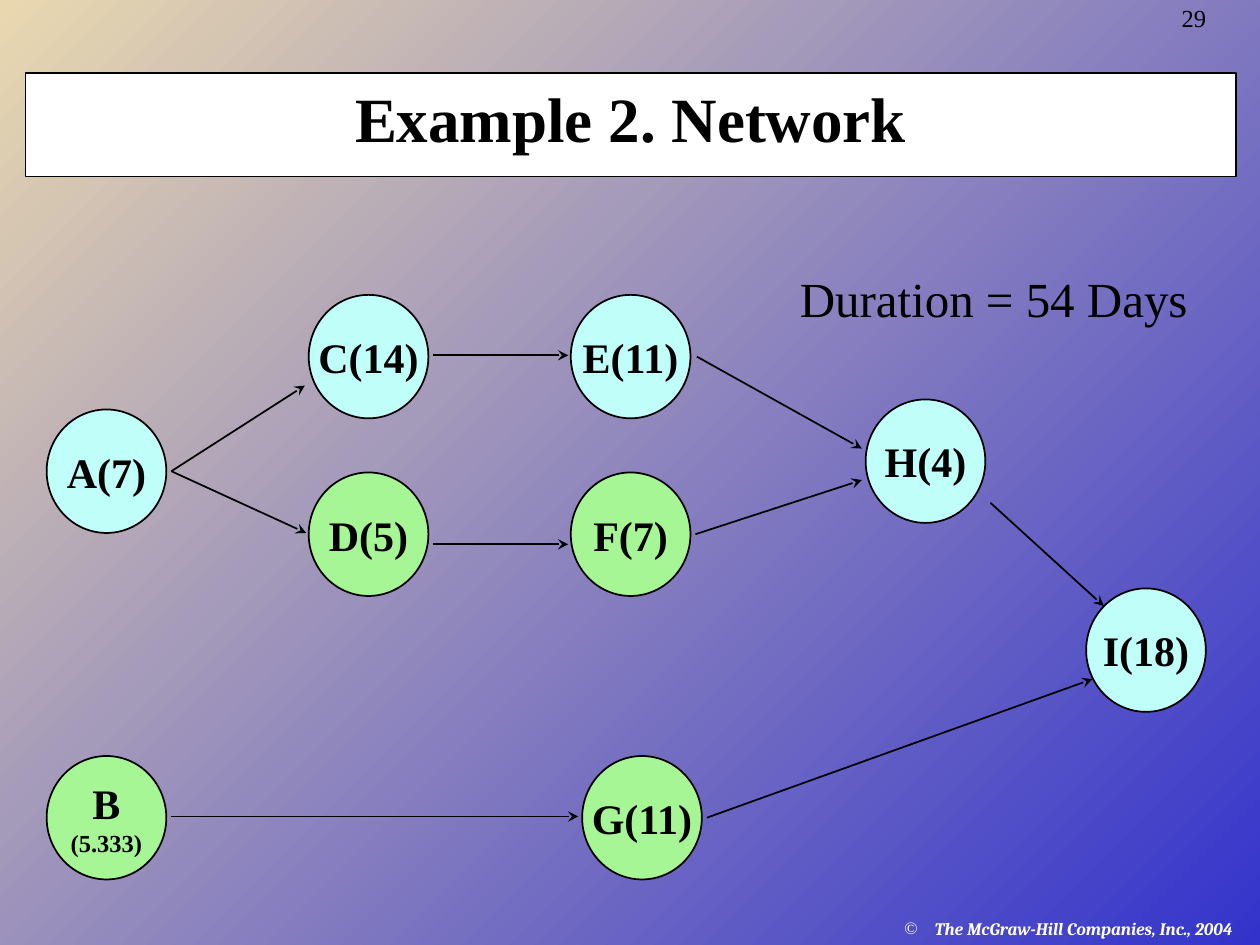
from pptx import Presentation, util as u
from pptx.dml.color import RGBColor
from pptx.enum import shapes as sh, text as tx
from pptx.oxml import parse_xml
from pptx.oxml.ns import nsdecls

HUES = {"black": "000000", "white": "FFFFFF", "cyan": "C0FEF9",
        "green": "A6F695", "blue": "3333CC", "sand": "E9D8AF"}
SERIF = "Times New Roman"
NODES = [  # left, top, hue, lines of (text, size)
    (0.37, 3.25, "cyan", [("A(7)", 24)]),
    (0.37, 6, "green", [("B", 24), ("(5.333)", 14)]),
    (2.45, 2.34, "cyan", [("C(14)", 24)]),
    (2.45, 3.75, "green", [("D(5)", 24)]),
    (4.53, 2.34, "cyan", [("E(11)", 24)]),
    (4.53, 3.75, "green", [("F(7)", 24)]),
    (6.87, 3.17, "cyan", [("H(4)", 24)]),
    (4.62, 6, "green", [("G(11)", 24)]),
    (8.62, 4.67, "cyan", [("I(18)", 24)]),
]
LINKS = [  # from x, y, to x, y
    (1.36, 3.74, 2.42, 3.06), (1.36, 3.74, 2.43, 4.23),
    (1.36, 6.48, 4.59, 6.48), (3.44, 2.82, 4.51, 2.82),
    (3.44, 4.32, 4.51, 4.32), (5.52, 4.24, 6.84, 3.81),
    (5.53, 2.83, 6.84, 3.56), (5.61, 6.49, 8.67, 5.39),
    (7.86, 3.99, 8.76, 4.81),
]


def rgb(name):
    return RGBColor.from_string(HUES[name])


def inches(*nums):
    return [u.Inches(n) for n in nums]


def backdrop(slide):
    fill = slide.background.fill
    fill.gradient()
    fill.gradient_angle = 135
    for stop, hue in zip(fill.gradient_stops, ("blue", "sand")):
        stop.color.rgb = rgb(hue)


def write(par, words, size, bold=False, font=SERIF, hue="black"):
    run = par.add_run()
    run.text = words
    run.font.size = u.Pt(size)
    run.font.bold = bold
    run.font.name = font
    run.font.color.rgb = rgb(hue)
    return run


def label(slide, box, wrap=True):
    """Add an empty text box and return its first paragraph."""
    frame = slide.shapes.add_textbox(*inches(*box)).text_frame
    frame.word_wrap = wrap
    return frame.paragraphs[0]


def panel(slide, kind, box, hue, width, lines, anchor, wrap):
    """Add an outlined shape with bold centred lines."""
    shape = slide.shapes.add_shape(kind, *inches(*box))
    shape.shadow.inherit = False
    shape.fill.solid()
    shape.fill.fore_color.rgb = rgb(hue)
    shape.line.color.rgb = rgb("black")
    shape.line.width = u.Pt(width)
    frame = shape.text_frame
    frame.word_wrap = wrap
    frame.vertical_anchor = anchor
    for i, (words, size) in enumerate(lines):
        par = frame.add_paragraph() if i else frame.paragraphs[0]
        par.alignment = tx.PP_ALIGN.CENTER
        write(par, words, size, bold=True)


def arrow(slide, ends):
    link = slide.shapes.add_connector(sh.MSO_CONNECTOR.STRAIGHT, *inches(*ends))
    link.line.color.rgb = rgb("black")
    link.line.width = u.Pt(1)
    link.line._get_or_add_ln().append(
        parse_xml(f'<a:tailEnd {nsdecls("a")} type="stealth"/>'))
    link._element.spPr.append(parse_xml(f'<a:effectLst {nsdecls("a")}/>'))


def bullet(par, mark, hue, indent):
    props = par._p.get_or_add_pPr()
    props.set("marL", str(u.Inches(indent)))
    props.set("indent", str(-u.Inches(indent)))
    ns = nsdecls("a")
    for xml in (f'<a:buClr {ns}><a:srgbClr val="{HUES[hue]}"/></a:buClr>',
                f'<a:buFont {ns} typeface="{SERIF}"/>',
                f'<a:buChar {ns} char="{mark}"/>'):
        props.append(parse_xml(xml))


def footer(slide):
    par = label(slide, (7.08, 7.24, 2.92, 0.43))
    bullet(par, "©", "white", 0.24)
    run = write(par, "The McGraw-Hill Companies, Inc., 2004", 10, True,
                "Cambria", "white")
    run.font.italic = True


def number(slide):
    par = label(slide, (9.28, 0, 1.01, 0.31))
    par.line_spacing = 0.9
    write(par, "29", 14)


def main():
    deck = Presentation()
    deck.slide_width, deck.slide_height = inches(10, 7.5)
    slide = deck.slides.add_slide(deck.slide_layouts[6])
    backdrop(slide)
    footer(slide)
    number(slide)
    panel(slide, sh.MSO_SHAPE.RECTANGLE, (0.2, 0.58, 9.61, 0.82), "white", 0.75,
          [("Example 2. Network", 36)], tx.MSO_ANCHOR.TOP, True)
    for left, top, hue, lines in NODES:
        panel(slide, sh.MSO_SHAPE.OVAL, (left, top, 0.95, 0.98), hue, 1,
              lines, tx.MSO_ANCHOR.MIDDLE, False)
    for ends in LINKS:
        arrow(slide, ends)
    write(label(slide, (6.25, 2.08, 3.28, 0.56), False), "Duration = 54 Days", 28)
    deck.save("out.pptx")


if __name__ == "__main__":
    main()
